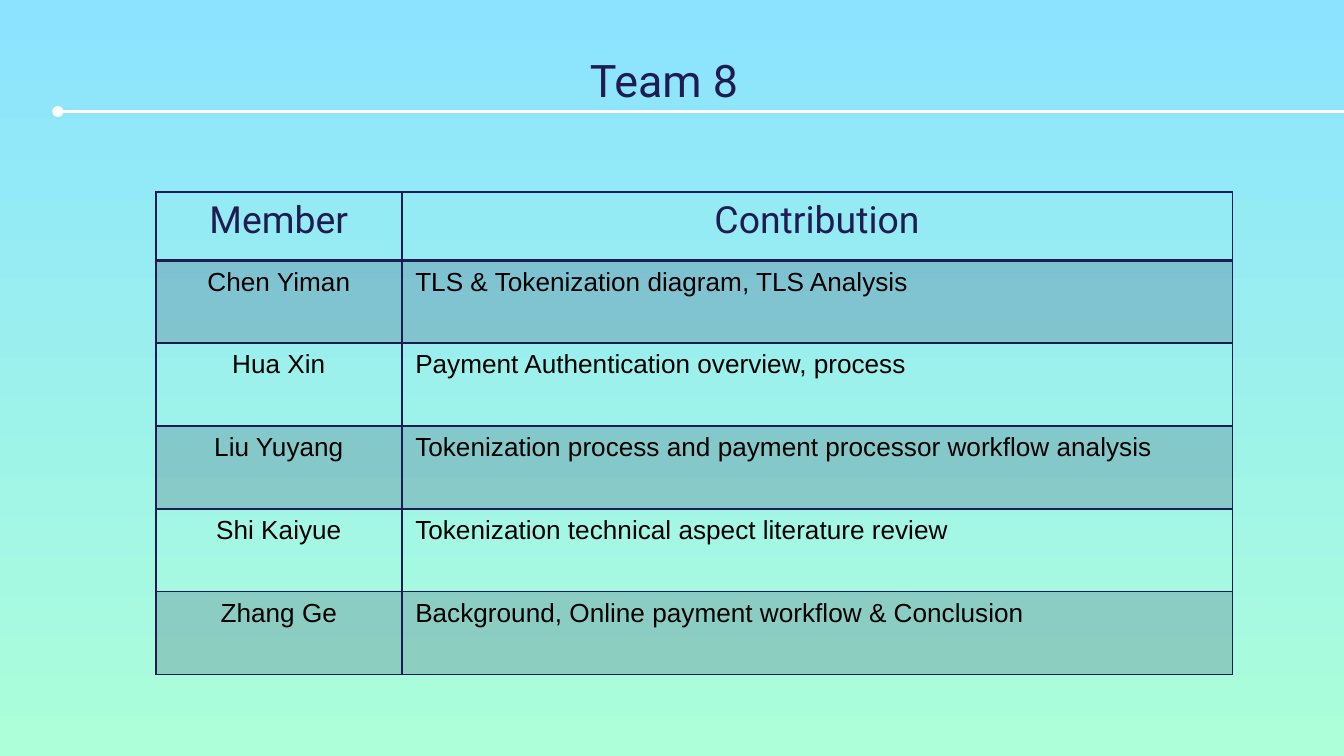
from dataclasses import dataclass
from typing import NamedTuple

from lxml.etree import SubElement
from pptx import Presentation
from pptx.dml.color import RGBColor
from pptx.enum.shapes import MSO_CONNECTOR as Connector
from pptx.enum.text import MSO_ANCHOR as Anchor, PP_ALIGN as Align
from pptx.oxml.ns import qn
from pptx.oxml.xmlchemy import OxmlElement
from pptx.util import Inches, Pt

SLIDE_WIDTH = Inches(10)
SLIDE_HEIGHT = SLIDE_WIDTH * 9 // 16


class TextStyle(NamedTuple):
    font: str
    size: float
    color: str


@dataclass(frozen=True)
class Theme:
    ink: str = "1F1C51"
    rule: str = "FFFFFF"
    sky: str = "8BE3FF"
    mint: str = "ACFFD9"
    band_opacity: int = 20
    rule_width: float = 1.5
    border_width: float = 1
    header_border_width: float = 2
    title: TextStyle = TextStyle("Roboto", 24, "1F1C51")
    header: TextStyle = TextStyle("Roboto", 20, "1F1C51")
    body: TextStyle = TextStyle("Arial", 14, "000000")


class Contribution(NamedTuple):
    member: str
    work: str


THEME = Theme()
HEADER = Contribution("Member", "Contribution")
CONTRIBUTIONS = [
    Contribution("Chen Yiman", "TLS & Tokenization diagram, TLS Analysis"),
    Contribution("Hua Xin", "Payment Authentication overview, process"),
    Contribution("Liu Yuyang", "Tokenization process and payment processor workflow analysis"),
    Contribution("Shi Kaiyue", "Tokenization technical aspect literature review"),
    Contribution("Zhang Ge", "Background, Online payment workflow & Conclusion"),
]
TABLE_WIDTH, TABLE_HEIGHT = Inches(8.01), Inches(3.59)
MEMBER_WIDTH, HEADER_HEIGHT = Inches(1.83), Inches(0.51)
COLUMN_WIDTHS = (MEMBER_WIDTH, TABLE_WIDTH - MEMBER_WIDTH)
ROW_HEIGHT = (TABLE_HEIGHT - HEADER_HEIGHT) // len(CONTRIBUTIONS)


def across(share: float) -> int:
    """Turn a share of the slide's width into a length."""
    return round(SLIDE_WIDTH * share)


def down(share: float) -> int:
    """Turn a share of the slide's height into a length."""
    return round(SLIDE_HEIGHT * share)


def write(text_frame, text: str, style: TextStyle, alignment=Align.LEFT) -> None:
    text_frame.text = text
    paragraph = text_frame.paragraphs[0]
    paragraph.alignment = alignment
    font = paragraph.runs[0].font
    font.name, font.size, font.bold = style.font, Pt(style.size), False
    font.color.rgb = RGBColor.from_string(style.color)


def paint_background(slide) -> None:
    fill = slide.background.fill
    fill.gradient()
    fill.gradient_angle = 270
    for position, color in enumerate((THEME.sky, THEME.mint)):
        stop = fill.gradient_stops[position]
        stop.color.rgb = RGBColor.from_string(color)
        stop.position = position


def add_title_rule(slide) -> None:
    height = Inches(0.83)
    rule = slide.shapes.add_connector(
        Connector.STRAIGHT, Inches(0.43), height, Inches(10.26), height)
    rule.line.color.rgb = RGBColor.from_string(THEME.rule)
    rule.line.width = Pt(THEME.rule_width)
    SubElement(rule.line._get_or_add_ln(), qn("a:headEnd"), type="oval")
    SubElement(rule._element.spPr, qn("a:effectLst"))


def add_title(slide, text: str) -> None:
    box = slide.shapes.add_textbox(Inches(4.29), Inches(0.29), Inches(2.23), Inches(0.59))
    frame = box.text_frame
    frame.word_wrap = True
    frame.vertical_anchor = Anchor.TOP
    frame.margin_left = frame.margin_right = Inches(0.1)
    frame.margin_top = frame.margin_bottom = Inches(0.1)
    write(frame, text, THEME.title)


def set_borders(cell, top: float, bottom: float) -> None:
    """Outline a cell; side borders keep the standard width."""
    widths = {"L": THEME.border_width, "R": THEME.border_width, "T": top, "B": bottom}
    properties = cell._tc.get_or_add_tcPr()
    for index, (side, width) in enumerate(widths.items()):
        line = OxmlElement(f"a:ln{side}")
        line.set("w", str(Pt(width)))
        fill = SubElement(line, qn("a:solidFill"))
        SubElement(fill, qn("a:srgbClr"), val=THEME.ink)
        properties.insert(index, line)


def fill_cell(cell, banded: bool) -> None:
    if not banded:
        cell.fill.background()
        return
    cell.fill.solid()
    cell.fill.fore_color.rgb = RGBColor.from_string(THEME.ink)
    color = cell._tc.tcPr.find(".//" + qn("a:srgbClr"))
    SubElement(color, qn("a:alpha"), val=str(THEME.band_opacity * 1000))


def add_contribution_table(slide, entries: list[Contribution]) -> None:
    rows = [HEADER, *entries]
    table = slide.shapes.add_table(
        len(rows), len(COLUMN_WIDTHS), across(0.116), down(0.254),
        TABLE_WIDTH, TABLE_HEIGHT).table
    table.first_row = table.horz_banding = False
    for column, width in zip(table.columns, COLUMN_WIDTHS):
        column.width = width
    for row_index, entry in enumerate(rows):
        is_header = row_index == 0
        table.rows[row_index].height = HEADER_HEIGHT if is_header else ROW_HEIGHT
        top = THEME.header_border_width if row_index == 1 else THEME.border_width
        bottom = THEME.header_border_width if is_header else THEME.border_width
        for column_index, text in enumerate(entry):
            cell = table.cell(row_index, column_index)
            centred = is_header or column_index == 0
            write(cell.text_frame, text, THEME.header if is_header else THEME.body,
                  Align.CENTER if centred else Align.LEFT)
            fill_cell(cell, banded=row_index % 2 == 1)
            set_borders(cell, top, bottom)


def main() -> None:
    presentation = Presentation()
    presentation.slide_width, presentation.slide_height = SLIDE_WIDTH, SLIDE_HEIGHT
    slide = presentation.slides.add_slide(presentation.slide_layouts[6])
    paint_background(slide)
    add_title_rule(slide)
    add_title(slide, "Team 8")
    add_contribution_table(slide, CONTRIBUTIONS)
    presentation.save("out.pptx")


if __name__ == "__main__":
    main()
